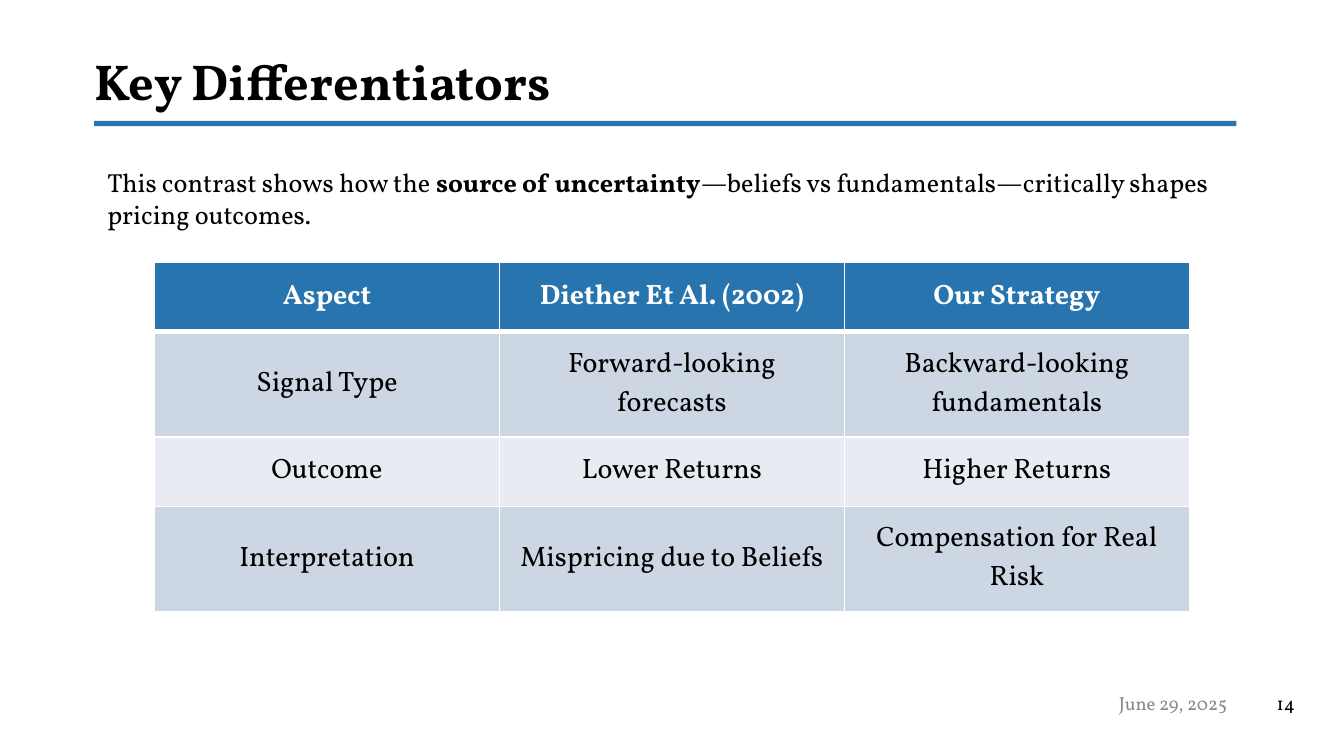
from lxml import etree
from pptx import Presentation
from pptx.dml.color import RGBColor
from pptx.enum.shapes import MSO_SHAPE
from pptx.enum.text import MSO_ANCHOR, MSO_AUTO_SIZE, PP_ALIGN
from pptx.oxml.ns import qn
from pptx.util import Inches, Pt

RECT = MSO_SHAPE.RECTANGLE
LEFT, CENTER, RIGHT = PP_ALIGN.LEFT, PP_ALIGN.CENTER, PP_ALIGN.RIGHT
TOP, MIDDLE, BOTTOM = MSO_ANCHOR.TOP, MSO_ANCHOR.MIDDLE, MSO_ANCHOR.BOTTOM
GROW = MSO_AUTO_SIZE.SHAPE_TO_FIT_TEXT

BLUE = RGBColor(0x27, 0x74, 0xAE)
BAND_DARK = RGBColor(0xCD, 0xD6, 0xE3)
BAND_LIGHT = RGBColor(0xE8, 0xEB, 0xF2)
BLACK = RGBColor(0, 0, 0)
WHITE = RGBColor(0xFF, 0xFF, 0xFF)
GRAY = RGBColor(0x89, 0x89, 0x89)

FONT = "Vollkorn"
ROWS = [
    ("Aspect", "Diether Et Al. (2002)", "Our Strategy"),
    ("Signal Type", "Forward-looking forecasts", "Backward-looking fundamentals"),
    ("Outcome", "Lower Returns", "Higher Returns"),
    ("Interpretation", "Mispricing due to Beliefs", "Compensation for Real Risk"),
]
ROW_HEIGHTS = [0.52, 0.78, 0.52, 0.78]


class SlideBuilder:
    def __init__(self, s):
        self.s = s

    def style(self, p, size, color=BLACK, bold=False, align=LEFT, spacing=None):
        p.font.name = FONT
        p.font.size = Pt(size)
        p.font.color.rgb = color
        p.font.bold = bold
        p.alignment = align
        p.line_spacing = spacing

    def place(self, sp, box):
        sp.left, sp.top, sp.width, sp.height = [Inches(v) for v in box]

    def frame(self, tf, insets, anchor=TOP):
        tf.word_wrap = True
        tf.vertical_anchor = anchor
        (tf.margin_left, tf.margin_top,
         tf.margin_right, tf.margin_bottom) = [Inches(v) for v in insets]

    def title(self, text, box):
        sp = self.s.shapes.title
        self.place(sp, box)
        tf = sp.text_frame
        self.frame(tf, (0, 0, 0, 0), BOTTOM)
        tf.text = text
        self.style(tf.paragraphs[0], 27, bold=True, spacing=0.9)

    def bar(self, box):
        sp = self.s.shapes.add_shape(RECT, *[Inches(v) for v in box])
        sp.shadow.inherit = False
        sp.fill.solid()
        sp.fill.fore_color.rgb = BLUE
        sp.line.fill.background()

    def text(self, runs, box, size, insets=(0.1, 0.05, 0.1, 0.05), **style):
        sp = self.s.shapes.add_textbox(*[Inches(v) for v in box])
        tf = sp.text_frame
        self.frame(tf, insets)
        tf.auto_size = GROW
        p = tf.paragraphs[0]
        self.style(p, size, **style)
        for text, bold in runs:
            r = p.add_run()
            r.text = text
            if bold:
                r.font.bold = True

    def border(self, cell, side, width):
        tc_pr = cell._tc.get_or_add_tcPr()
        ln = etree.SubElement(tc_pr, qn(f"a:ln{side}"), w=str(Pt(width)))
        fill = etree.SubElement(ln, qn("a:solidFill"))
        etree.SubElement(fill, qn("a:srgbClr"), val=str(WHITE))

    def cell(self, cell, text, row):
        header = row == 0
        for side in "LRTB":
            thick = (row, side) in ((0, "B"), (1, "T"))
            self.border(cell, side, 3 if thick else 1)
        cell.fill.solid()
        cell.fill.fore_color.rgb = BLUE if header else BAND_DARK if row % 2 else BAND_LIGHT
        cell.vertical_anchor = MIDDLE
        cell.text = text
        self.style(cell.text_frame.paragraphs[0], 15,
                   color=WHITE if header else BLACK, bold=header, align=CENTER)

    def table(self, rows, heights, left, top, width):
        cols = len(rows[0])
        table = self.s.shapes.add_table(
            len(rows), cols, Inches(left), Inches(top),
            Inches(width), Inches(sum(heights))).table
        for col in table.columns:
            col.width = Inches(width / cols)
        for i, (values, height) in enumerate(zip(rows, heights)):
            table.rows[i].height = Inches(height)
            for j, value in enumerate(values):
                self.cell(table.cell(i, j), value, i)


def main():
    prs = Presentation()
    prs.slide_width = Inches(10)
    prs.slide_height = prs.slide_width * 9 // 16
    b = SlideBuilder(prs.slides.add_slide(prs.slide_layouts[5]))
    b.bar((0.7, 0.9, 8.5, 0.04))
    footer = (0, 0, 0, 0.28)
    b.text([("June 29, 2025", False)], (8.1, 5.2, 1.03, 0.45), 10, footer,
           color=GRAY, align=RIGHT)
    b.text([("14", False)], (9.5, 5.2, 0.5, 0.45), 10, footer)
    b.title("Key Differentiators", (0.7, 0.42, 9.02, 0.41))
    b.table(ROWS, ROW_HEIGHTS, 1.15, 1.95, 7.7)
    b.text([("This contrast shows how the ", False),
            ("source of uncertainty", True),
            ("—beliefs vs fundamentals—critically shapes pricing outcomes.", False)],
           (0.7, 1.19, 8.7, 0.57), 14)
    prs.save("out.pptx")


if __name__ == "__main__":
    main()
